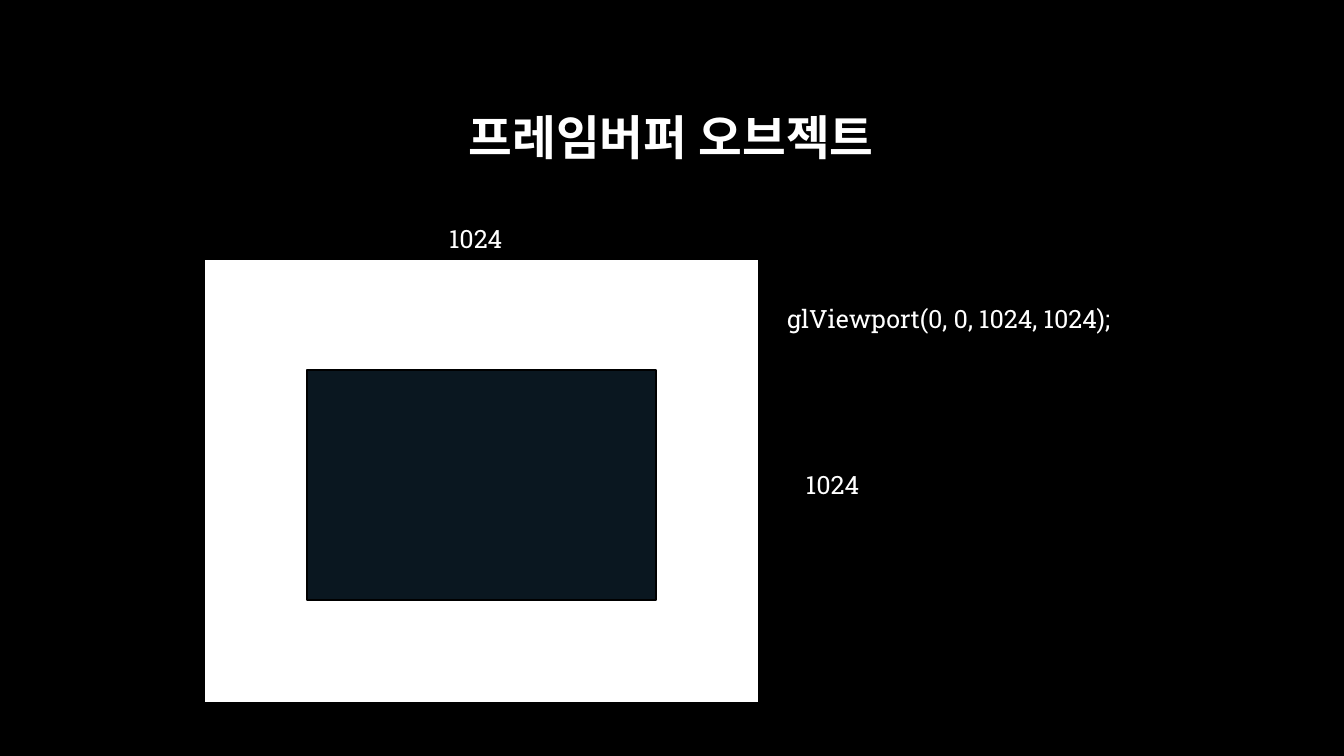
from dataclasses import dataclass

from lxml import etree
from pptx import Presentation
from pptx.dml.color import RGBColor
from pptx.enum import shapes, text
from pptx.oxml import ns
from pptx.util import Pt


@dataclass(frozen=True)
class Theme:
    font: str = "Roboto Slab"
    black: RGBColor = RGBColor(0x00, 0x00, 0x00)
    white: RGBColor = RGBColor(0xFF, 0xFF, 0xFF)
    navy: RGBColor = RGBColor(0x0A, 0x17, 0x20)
    title_size: int = 34
    label_size: int = 18
    line_width: float = 1.5


THEME = Theme()
CENTER, LEFT = text.PP_ALIGN.CENTER, text.PP_ALIGN.LEFT
LABEL_W, LABEL_H = 108, 28.8


def write(tf, words, size, align, bold=False):
    tf.text = words
    tf.word_wrap = True
    p = tf.paragraphs[0]
    p.alignment = align
    r = p.runs[0]
    r.font.name = THEME.font
    r.font.size = Pt(size)
    r.font.bold = bold
    r.font.color.rgb = THEME.white
    # Hangul uses the East Asian typeface slot
    ea = etree.SubElement(r.font._element, ns.qn("a:ea"))
    ea.set("typeface", THEME.font)


def add_title(s, words, x, y, w, h):
    sp = s.shapes.title
    sp.left, sp.top, sp.width, sp.height = Pt(x), Pt(y), Pt(w), Pt(h)
    tf = sp.text_frame
    write(tf, words, THEME.title_size, CENTER, bold=True)
    tf.auto_size = text.MSO_AUTO_SIZE.NONE
    tf.vertical_anchor = text.MSO_ANCHOR.MIDDLE
    tf.paragraphs[0].line_spacing = 0.9


def add_label(s, words, x, y, w=LABEL_W, align=CENTER):
    tf = s.shapes.add_textbox(Pt(x), Pt(y), Pt(w), Pt(LABEL_H)).text_frame
    write(tf, words, THEME.label_size, align)
    tf.auto_size = text.MSO_AUTO_SIZE.SHAPE_TO_FIT_TEXT


def add_rect(s, color, x, y, w, h):
    sp = s.shapes.add_shape(shapes.MSO_SHAPE.RECTANGLE, Pt(x), Pt(y), Pt(w), Pt(h))
    sp.shadow.inherit = False
    sp.fill.solid()
    sp.fill.fore_color.rgb = color
    sp.line.color.rgb = THEME.black
    sp.line.width = Pt(THEME.line_width)


def add_framebuffer(s, x, y, w, h):
    # Buffer with the screen area inside it
    screen_w, screen_h = 249.2, 164.2
    add_rect(s, THEME.white, x, y, w, h)
    add_rect(s, THEME.navy, x + (w - screen_w) / 2, y + 79.2, screen_w, screen_h)

    # Width above, height and viewport call to the right
    add_label(s, "1024", x + (w - LABEL_W) / 2 - 3.9, y - LABEL_H)
    add_label(s, "1024", x + w - 1.4, y + 146.9)
    add_label(s, "glViewport(0, 0, 1024, 1024);", x + w + 13, y + 28.1, 283.7, LEFT)


def build_slide(prs):
    s = prs.slides.add_slide(prs.slide_layouts[5])
    s.background.fill.solid()
    s.background.fill.fore_color.rgb = THEME.black
    add_title(s, "프레임버퍼 오브젝트", 72, 48.2, 815, 104.4)
    add_framebuffer(s, 145.4, 185, 396.7, 317.5)


def main():
    prs = Presentation()
    prs.slide_width, prs.slide_height = Pt(960), Pt(540)
    build_slide(prs)
    prs.save("out.pptx")


if __name__ == "__main__":
    main()
